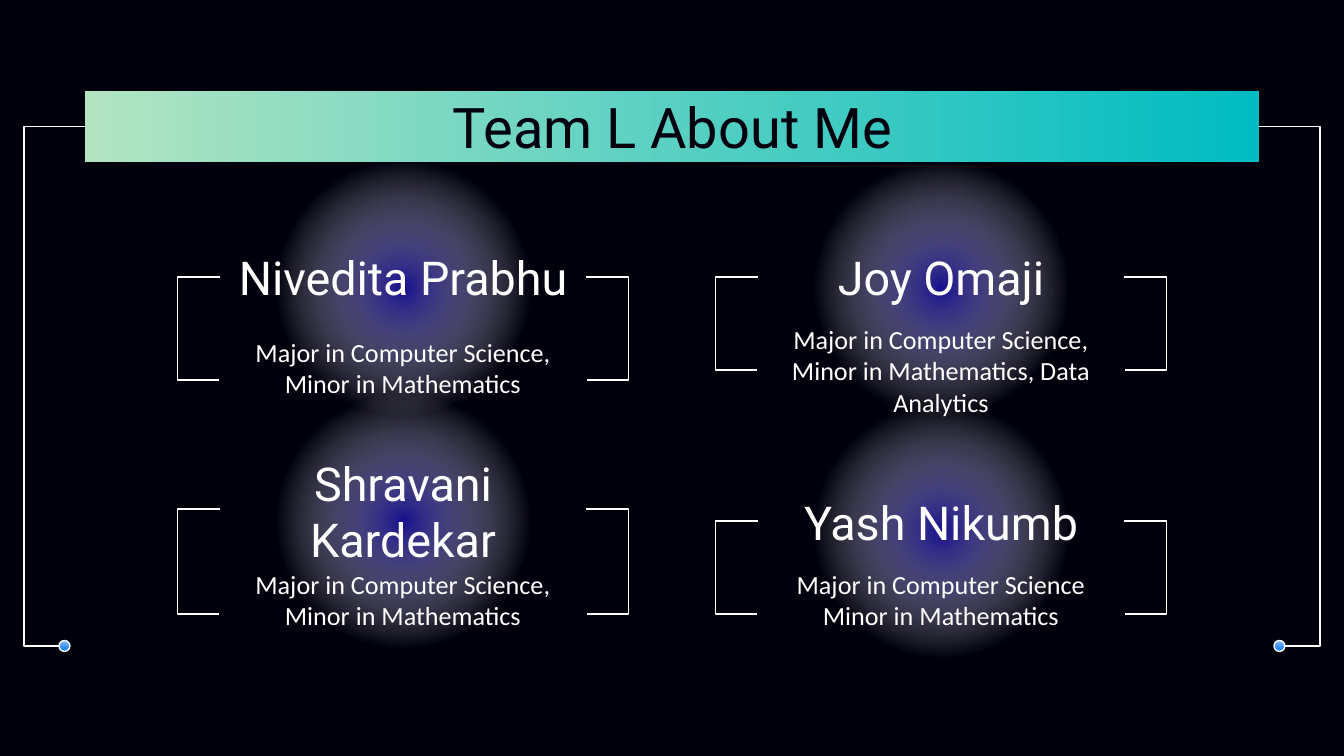
import pptx
import pptx.util
import pptx.dml.color
import pptx.oxml
import pptx.oxml.ns
from pptx.enum.shapes import MSO_CONNECTOR, MSO_SHAPE
from pptx.enum.text import MSO_ANCHOR, PP_ALIGN

COLORS = {
    "night": "00000D", "white": "FFFFFF", "indigo": "170F8D",
    "teal": "00BCC2", "mint": "B2E4C2", "sky": "82BCFE", "blue": "0C77F1",
}
TITLE = "Team L About Me"
# name, details, column, then tops of glow, name, details and bracket, bracket foot
TEAM = [
    ("Nivedita Prabhu", "Major in Computer Science, Minor in Mathematics",
     0, 153, 242, 323, 277, 380),
    ("Joy Omaji", "Major in Computer Science,\nMinor in Mathematics, Data Analytics",
     1, 153, 242, 310, 277, 370),
    ("Shravani Kardekar", "Major in Computer Science,\nMinor in Mathematics",
     0, 386, 476, 555, 509, 614),
    ("Yash Nikumb", "Major in Computer Science\nMinor in Mathematics",
     1, 396, 487, 555, 521, 614),
]
WIDE, HIGH = 1344, 756
BAR = (85, 91, 1174, 71)
LEFT, STEP, CARD = 220, 538, 366
GLOW_W, GLOW_H = 318, 270
ARM, DOT, FOOT = 42, 11, 646
SCALE = 914400 / 134.4


def px(n):
    return pptx.util.Emu(round(n * SCALE))


def rgb(name):
    return pptx.dml.color.RGBColor.from_string(COLORS[name])


def blend(shape, stops, angle=None):
    """Fill with (percent, colour, opacity) stops, radial if no angle is given."""
    marks = "".join(
        f'<a:gs pos="{at * 1000}"><a:srgbClr val="{COLORS[name]}">'
        f'<a:alpha val="{alpha * 1000}"/></a:srgbClr></a:gs>'
        for at, name, alpha in stops)
    if angle is None:
        way = ('<a:path path="circle"><a:fillToRect l="50000" t="50000" '
               'r="50000" b="50000"/></a:path>')
    else:
        way = f'<a:lin ang="{angle * 60000}" scaled="0"/>'
    fill = pptx.oxml.parse_xml(
        f'<a:gradFill {pptx.oxml.ns.nsdecls("a")} rotWithShape="1">'
        f'<a:gsLst>{marks}</a:gsLst>{way}</a:gradFill>')
    shape.fill.gradient()
    props = shape._element.spPr
    props.replace(props.find(pptx.oxml.ns.qn("a:gradFill")), fill)


def form(kind, box, stops, angle=None, edge=False):
    shape = slide.shapes.add_shape(kind, *map(px, box))
    shape.shadow.inherit = False
    blend(shape, stops, angle)
    if edge:
        shape.line.color.rgb = rgb("white")
        shape.line.width = pptx.util.Pt(0.75)
    else:
        shape.line.fill.background()
    return shape


def elbow(start, end, via):
    """Draw a bent connector whose upright part stands at x = via."""
    line = slide.shapes.add_connector(MSO_CONNECTOR.ELBOW, *map(px, start + end))
    line.line.color.rgb = rgb("white")
    line.line.width = pptx.util.Pt(0.75)
    props = line._element.spPr
    bend = round((via - start[0]) / (end[0] - start[0]) * 100000)
    guides = props.prstGeom.get_or_add_avLst()
    guides.append(pptx.oxml.parse_xml(
        f'<a:gd {pptx.oxml.ns.nsdecls("a")} name="adj1" fmla="val {bend}"/>'))
    props.append(pptx.oxml.parse_xml(
        f'<a:effectLst {pptx.oxml.ns.nsdecls("a")}/>'))
    return line


def write(text, box, size, font="Roboto", color="white", anchor=MSO_ANCHOR.TOP):
    frame = slide.shapes.add_textbox(*map(px, box)).text_frame
    frame.word_wrap = True
    frame.vertical_anchor = anchor
    frame.margin_left = frame.margin_right = pptx.util.Inches(0.1)
    frame.margin_top = frame.margin_bottom = pptx.util.Inches(0.1)
    frame.text = text
    for para in frame.paragraphs:
        para.alignment = PP_ALIGN.CENTER
        for run in para.runs:
            run.font.name = font
            run.font.size = pptx.util.Pt(size)
            run.font.color.rgb = rgb(color)


deck = pptx.Presentation()
deck.slide_width, deck.slide_height = px(WIDE), px(HIGH)
slide = deck.slides.add_slide(deck.slide_layouts[6])
slide.background.fill.solid()
slide.background.fill.fore_color.rgb = rgb("night")

for name, details, col, glow, *rest in TEAM:
    x = LEFT + col * STEP + (CARD - GLOW_W) / 2
    form(MSO_SHAPE.OVAL, (x, glow, GLOW_W, GLOW_H),
         [(0, "indigo", 100), (61, "white", 0), (100, "white", 0)])

bar = form(MSO_SHAPE.RECTANGLE, BAR, [(0, "teal", 100), (100, "mint", 100)], 180)

for name, details, col, glow, head, body, top, foot in TEAM:
    x = LEFT + col * STEP
    write(details, (x, body, CARD, 117), 14, font="Calibri")
    write(name, (x, head, CARD, 69), 25, anchor=MSO_ANCHOR.MIDDLE)
    for edge, side in ((x, -1), (x + CARD, 1)):
        elbow((edge, top), (edge + side, foot), edge + side * ARM)

mid = BAR[1] + BAR[3] / 2
for dot, start, end, via, site in (
        (59, 59, BAR[0], 24, 1),
        (WIDE - 59 - DOT, WIDE - 59, BAR[0] + BAR[2], WIDE - 24, 3)):
    form(MSO_SHAPE.OVAL, (dot, FOOT - DOT / 2, DOT, DOT),
         [(0, "sky", 100), (100, "blue", 100)], 90, edge=True)
    elbow((start, FOOT), (end, mid), via).end_connect(bar, site)

write(TITLE, (106, 79, 1133, 85), 30, color="night")
deck.save("out.pptx")
